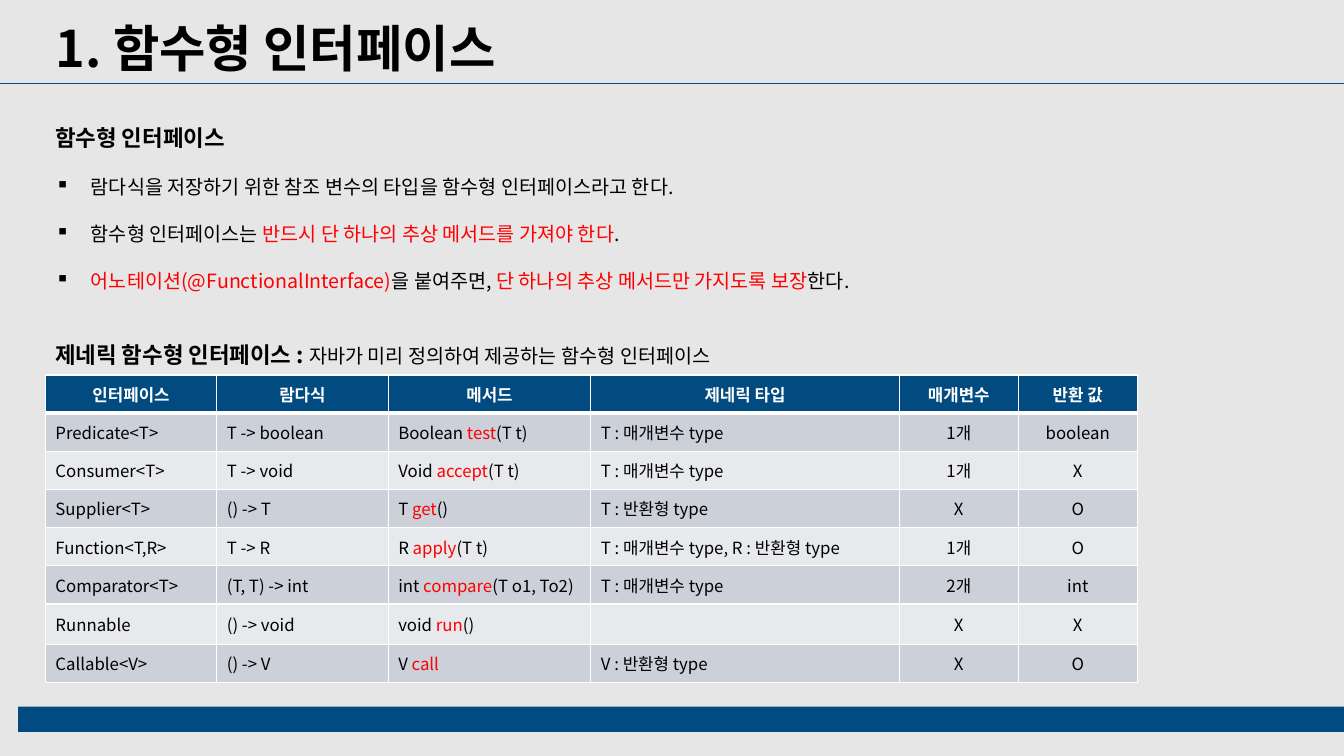
from lxml import etree
from pptx import Presentation
from pptx.dml.color import RGBColor
from pptx.enum import shapes, text
from pptx.oxml import ns
from pptx.util import Inches, Pt

FONT = "Noto Sans CJK KR"
NAVY = RGBColor(0x02, 0x4B, 0x80)
BACKGROUND = RGBColor(0xE7, 0xE6, 0xE6)
BLACK = RGBColor(0, 0, 0)
RED = RGBColor(0xFF, 0, 0)
WHITE = RGBColor(0xFF, 0xFF, 0xFF)
BANDS = (RGBColor(0xCC, 0xD0, 0xD8), RGBColor(0xE7, 0xE9, 0xED))

BULLETS = [
    [(" 람다식을 저장하기 위한 참조 변수의 타입을 함수형 인터페이스라고 한다.", BLACK)],
    [(" 함수형 인터페이스는 ", BLACK), ("반드시 단 하나의 추상 메서드를 가져야 한다", RED), (".", BLACK)],
    [(" ", BLACK), ("어노테이션(@FunctionalInterface)", RED), ("을 붙여주면, ", BLACK),
     ("단 하나의 추상 메서드만 가지도록 보장", RED), ("한다.", BLACK)],
]
HEADERS = ["인터페이스", "람다식", "메서드", "제네릭 타입", "매개변수", "반환 값"]
COLUMN_WIDTHS = [1.7, 1.7, 2.01, 3.06, 1.18, 1.18]
METHOD_COLUMN = 2
CENTERED_FROM = 4
INTERFACES = [
    ("Predicate<T>", "T -> boolean", ("Boolean ", "test", "(T t)"), "T : 매개변수 type", "1개", "boolean"),
    ("Consumer<T>", "T -> void", ("Void ", "accept", "(T t)"), "T : 매개변수 type", "1개", "X"),
    ("Supplier<T>", "() -> T", ("T ", "get", "()"), "T : 반환형 type", "X", "O"),
    ("Function<T,R>", "T -> R", ("R ", "apply", "(T t)"), "T : 매개변수 type, R : 반환형 type", "1개", "O"),
    ("Comparator<T>", "(T, T) -> int", ("int ", "compare", "(T o1, To2)"), "T : 매개변수 type", "2개", "int"),
    ("Runnable", "() -> void", ("void ", "run", "()"), "", "X", "X"),
    ("Callable<V>", "() -> V", ("V ", "call", ""), "V : 반환형 type", "X", "O"),
]


def add_span(para, words, size, color=BLACK, bold=False):
    """Append one formatted run to a paragraph."""
    span = para.add_run()
    span.text = words
    span.font.size = Pt(size)
    span.font.name = FONT
    span.font.bold = bold
    span.font.color.rgb = color
    east_asian = etree.SubElement(span.font._element, ns.qn("a:ea"))
    east_asian.set("typeface", FONT)


def add_bullet(para):
    """Give a paragraph a square bullet and a hanging indent."""
    properties = para._p.get_or_add_pPr()
    properties.set("marL", str(Inches(0.31)))
    properties.set("indent", str(-Inches(0.31)))
    etree.SubElement(properties, ns.qn("a:buChar")).set("char", "▪")


def add_border(cell, side, width):
    """Draw one white border of a table cell."""
    line = etree.SubElement(cell._tc.get_or_add_tcPr(), ns.qn("a:" + side))
    line.set("w", str(Pt(width)))
    fill = etree.SubElement(line, ns.qn("a:solidFill"))
    etree.SubElement(fill, ns.qn("a:srgbClr")).set("val", str(WHITE))


def add_footer(page, left, top, width, height):
    """Place the coloured bar at the foot of the page."""
    bar = page.shapes.add_shape(shapes.MSO_SHAPE.RECTANGLE, left, top, width, height)
    bar.shadow.inherit = False
    bar.fill.solid()
    bar.fill.fore_color.rgb = NAVY
    bar.line.fill.background()


def add_heading(page, left, top, width, height):
    """Place the title and the rule that runs below it."""
    title = page.shapes.title
    title.left, title.top, title.width, title.height = left, top, width, height
    frame = title.text_frame
    frame.vertical_anchor = text.MSO_ANCHOR.TOP
    frame.auto_size = text.MSO_AUTO_SIZE.NONE
    para = frame.paragraphs[0]
    para.alignment = text.PP_ALIGN.LEFT
    para.line_spacing = 1.0
    add_span(para, "1. 함수형 인터페이스", 36, bold=True)
    bottom = top + height
    rule = page.shapes.add_connector(shapes.MSO_CONNECTOR.STRAIGHT, 0, bottom, Inches(13.33), bottom)
    rule.line.color.rgb = NAVY
    rule.line.width = Pt(0.5)
    etree.SubElement(rule._element.spPr, ns.qn("a:effectLst"))


def add_explanation(page, left, top, width, height):
    """Place the definition, its bullets and the caption of the table."""
    frame = page.shapes.add_textbox(left, top, width, height).text_frame
    frame.word_wrap = True
    para = frame.paragraphs[0]
    para.line_spacing = 1.5
    add_span(para, "함수형 인터페이스", 16, bold=True)
    for bullet in BULLETS:
        para = frame.add_paragraph()
        para.line_spacing = 2.0
        add_bullet(para)
        for words, color in bullet:
            add_span(para, words, 14, color)
    para = frame.add_paragraph()
    para.line_spacing = 1.5
    para.space_before = Pt(25)
    add_span(para, "제네릭 함수형 인터페이스 : ", 16, bold=True)
    add_span(para, "자바가 미리 정의하여 제공하는 함수형 인터페이스", 14)


def fill_cell(cell, spans, fill, centered, bold, bottom_border):
    """Write and format one table cell."""
    for side, width in (("lnL", 1), ("lnR", 1), ("lnT", 1), ("lnB", bottom_border)):
        add_border(cell, side, width)
    cell.fill.solid()
    cell.fill.fore_color.rgb = fill
    cell.vertical_anchor = text.MSO_ANCHOR.MIDDLE
    para = cell.text_frame.paragraphs[0]
    para.alignment = text.PP_ALIGN.CENTER if centered else text.PP_ALIGN.LEFT
    for words, color in spans:
        if words:
            add_span(para, words, 12, color, bold)


def add_interface_table(page, left, top, width, height):
    """Place the table of generic functional interfaces."""
    table = page.shapes.add_table(len(INTERFACES) + 1, len(HEADERS), left, top, width, height).table
    for column, column_width in zip(table.columns, COLUMN_WIDTHS):
        column.width = Inches(column_width)
    for index, header in enumerate(HEADERS):
        fill_cell(table.cell(0, index), [(header, WHITE)], NAVY, True, True, 3)
    for row, interface in enumerate(INTERFACES, 1):
        for index, value in enumerate(interface):
            spans = zip(value, (BLACK, RED, BLACK)) if index == METHOD_COLUMN else [(value, BLACK)]
            fill_cell(table.cell(row, index), spans, BANDS[(row - 1) % 2], index >= CENTERED_FROM, False, 1)


def main():
    """Build and save the deck."""
    deck = Presentation()
    deck.slide_width, deck.slide_height = Inches(13.33), Inches(7.5)
    page = deck.slides.add_slide(deck.slide_layouts[5])
    page.background.fill.solid()
    page.background.fill.fore_color.rgb = BACKGROUND
    add_footer(page, Inches(0.18), Inches(7.01), Inches(13.15), Inches(0.25))
    add_heading(page, Inches(0.45), Inches(0.12), Inches(8.71), Inches(0.71))
    add_explanation(page, Inches(0.45), Inches(1.05), Inches(8.78), Inches(2.68))
    add_interface_table(page, Inches(0.45), Inches(3.72), Inches(10.83), Inches(3.03))
    deck.save("out.pptx")


if __name__ == "__main__":
    main()
